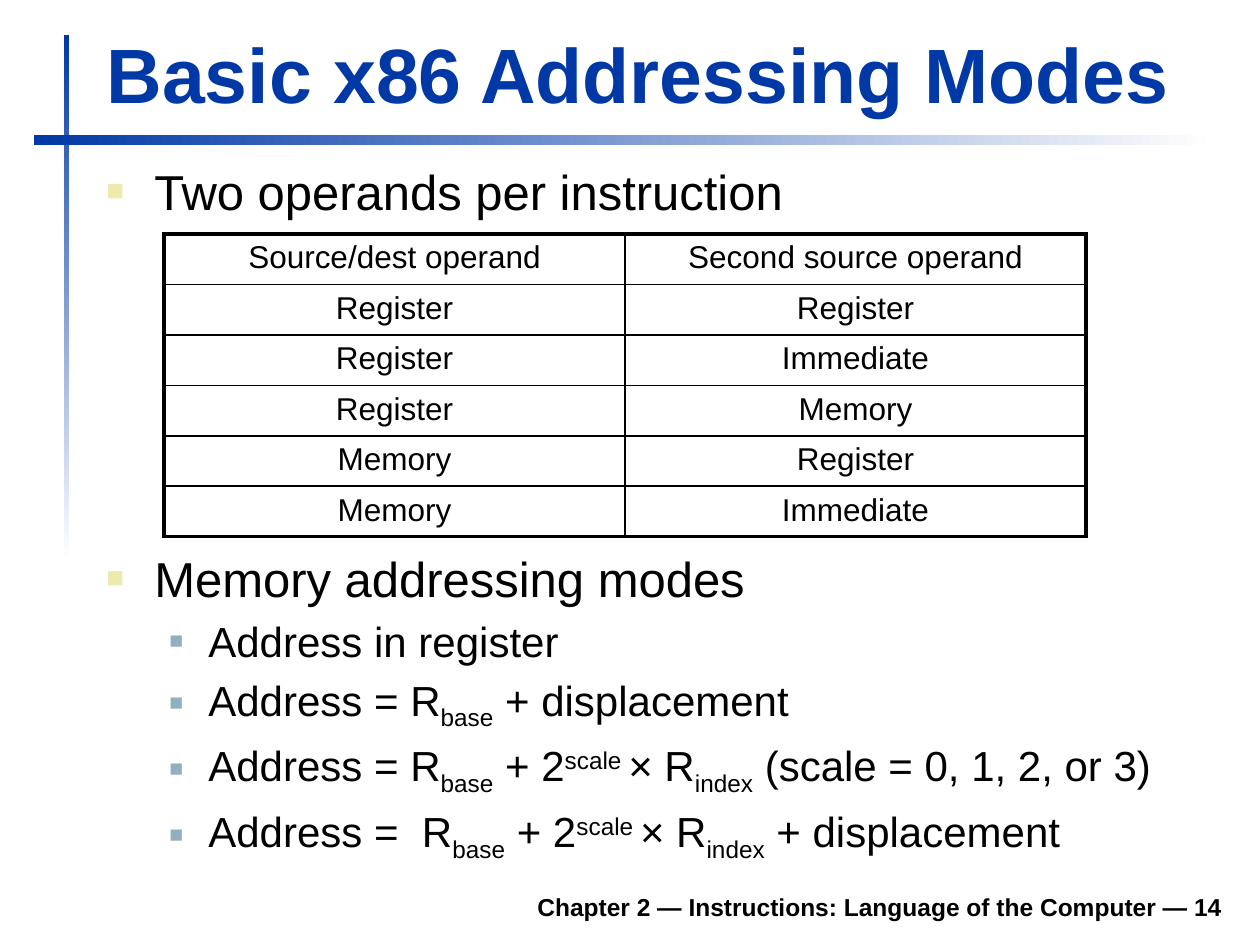
import pptx
import pptx.util
import pptx.dml.color
import pptx.enum.shapes
import pptx.enum.text
import pptx.oxml.ns
import lxml.etree

# Content
TITLE = "Basic x86 Addressing Modes"
FOOTER = "Chapter 2 — Instructions: Language of the Computer — 14"
OPERANDS = [
    ("Source/dest operand", "Second source operand"),
    ("Register", "Register"),
    ("Register", "Immediate"),
    ("Register", "Memory"),
    ("Memory", "Register"),
    ("Memory", "Immediate"),
]
# Each line is a level and its runs; a run is a text and a baseline shift in %
BASE = ("base", -25)
SCALED_INDEX = [(" + 2", 0), ("scale ", 30), ("× R", 0), ("index", -25)]
OPERAND_LINES = [(0, [("Two operands per instruction", 0)])]
MODE_LINES = [
    (0, [("Memory addressing modes", 0)]),
    (1, [("Address in register", 0)]),
    (1, [("Address = R", 0), BASE, (" + displacement", 0)]),
    (1, [("Address = R", 0), BASE, *SCALED_INDEX, (" (scale = 0, 1, 2, or 3)", 0)]),
    (1, [("Address =  R", 0), BASE, *SCALED_INDEX, (" + displacement", 0)]),
]

# Format
COLORS = {"blue": "0039A6", "white": "FFFFFF", "black": "000000",
          "yellow": "ECEAAC", "steel": "91AFBF"}
FONTS = {
    "title": {"size": 44, "bold": True, "color": "blue"},
    "footer": {"size": 14, "bold": True, "color": "black"},
    "cell": {"size": 18, "bold": False, "color": "black"},
    0: {"size": 28, "bold": False, "color": "black"},
    1: {"size": 24, "bold": False, "color": "black"},
}
BULLETS = [
    {"left": 48, "hang": 48, "color": "yellow", "percent": 60},
    {"left": 102, "hang": 39, "color": "steel", "percent": 55},
]
# Rule position and the counter-clockwise angle of its fade
RULES = [((64, 35, 5, 525), 270), ((34, 135, 1181, 10), 0)]
TABLE_BOX = (164, 234, 922, 302)
OUTER, INNER = 2.25, 1
ALIGN = pptx.enum.text.PP_ALIGN
ANCHOR = pptx.enum.text.MSO_ANCHOR


def px(length):
    return pptx.util.Emu(round(length * 914400 / 126))


def box(lengths):
    return [px(length) for length in lengths]


def rgb(name):
    return pptx.dml.color.RGBColor.from_string(COLORS[name])


def add_xml(parent, tag, **attributes):
    return lxml.etree.SubElement(parent, pptx.oxml.ns.qn(tag), attributes)


def add_run(paragraph, text, style):
    run = paragraph.add_run()
    run.text = text
    look = FONTS[style]
    values = {"name": "Arial", "size": pptx.util.Pt(look["size"]), "bold": look["bold"]}
    for key, value in values.items():
        setattr(run.font, key, value)
    run.font.color.rgb = rgb(look["color"])
    return run


def space_before(paragraph):
    spacing = add_xml(paragraph._p.get_or_add_pPr(), "a:spcBef")
    add_xml(spacing, "a:spcPct", val="20000")


def add_text_box(lengths, anchor):
    frame = slide.shapes.add_textbox(*box(lengths)).text_frame
    frame.word_wrap = True
    frame.vertical_anchor = anchor
    return frame


def add_bullets(lengths, lines):
    frame = add_text_box(lengths, ANCHOR.TOP)
    for number, (level, runs) in enumerate(lines):
        paragraph = frame.add_paragraph() if number else frame.paragraphs[0]
        paragraph.level = level
        bullet = BULLETS[level]
        space_before(paragraph)
        props = paragraph._p.get_or_add_pPr()
        props.set("marL", str(px(bullet["left"])))
        props.set("indent", str(-px(bullet["hang"])))
        add_xml(add_xml(props, "a:buClr"), "a:srgbClr", val=COLORS[bullet["color"]])
        add_xml(props, "a:buSzPct", val=str(bullet["percent"] * 1000))
        add_xml(props, "a:buFont", typeface="Arial")
        add_xml(props, "a:buChar", char="■")
        for text, shift in runs:
            run = add_run(paragraph, text, level)
            if shift:
                run.font._element.set("baseline", str(shift * 1000))


def add_borders(cell, widths):
    props = cell._tc.get_or_add_tcPr()
    for position, (side, width) in enumerate(widths.items()):
        line = add_xml(props, "a:ln" + side, w=str(pptx.util.Pt(width)))
        add_xml(add_xml(line, "a:solidFill"), "a:srgbClr", val=COLORS["black"])
        props.insert(position, line)


deck = pptx.Presentation()
deck.slide_width, deck.slide_height = px(1260), px(945)
slide = deck.slides.add_slide(deck.slide_layouts[5])

# Fading rules
for lengths, angle in RULES:
    rule = slide.shapes.add_shape(pptx.enum.shapes.MSO_SHAPE.RECTANGLE, *box(lengths))
    rule.shadow.inherit = False
    rule.line.fill.background()
    rule.fill.gradient()
    rule.fill.gradient_angle = angle
    for stop, color, position in zip(rule.fill.gradient_stops, ("blue", "white"), (0, 1)):
        stop.color.rgb = rgb(color)
        stop.position = position

# Footer
footer = add_text_box((233, 879, 1002, 49), ANCHOR.BOTTOM).paragraphs[0]
footer.alignment = ALIGN.RIGHT
add_run(footer, FOOTER, "footer")

# Title
title = slide.shapes.title
for side, length in zip(("left", "top", "width", "height"), box((94, 20, 1138, 105))):
    setattr(title, side, length)
title.text_frame.vertical_anchor = ANCHOR.BOTTOM
title.text_frame.auto_size = pptx.enum.text.MSO_AUTO_SIZE.NONE
title.text_frame.paragraphs[0].alignment = ALIGN.LEFT
add_run(title.text_frame.paragraphs[0], TITLE, "title")

# Operand combinations
add_bullets((94, 155, 1140, 89), OPERAND_LINES)
last_row, last_column = len(OPERANDS) - 1, len(OPERANDS[0]) - 1
table = slide.shapes.add_table(last_row + 1, last_column + 1, *box(TABLE_BOX)).table
table.first_row = table.horz_banding = False
for r, row in enumerate(OPERANDS):
    for c, operand in enumerate(row):
        cell = table.cell(r, c)
        cell.fill.background()
        add_borders(cell, {
            "L": INNER if c else OUTER,
            "R": OUTER if c == last_column else INNER,
            "T": INNER if r else OUTER,
            "B": OUTER if r == last_row else INNER,
        })
        paragraph = cell.text_frame.paragraphs[0]
        paragraph.alignment = ALIGN.CENTER
        space_before(paragraph)
        add_run(paragraph, operand, "cell")

# Memory addressing modes
add_bullets((94, 542, 1140, 318), MODE_LINES)

deck.save("out.pptx")
